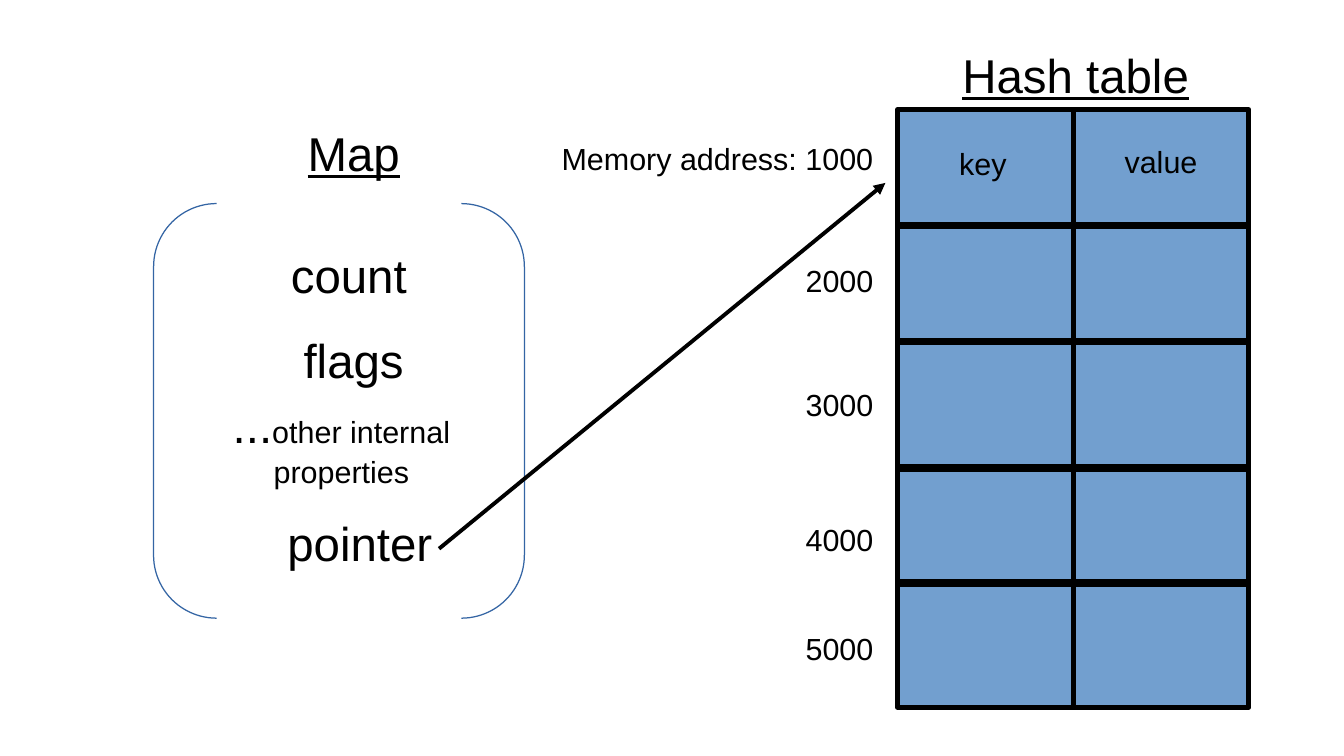
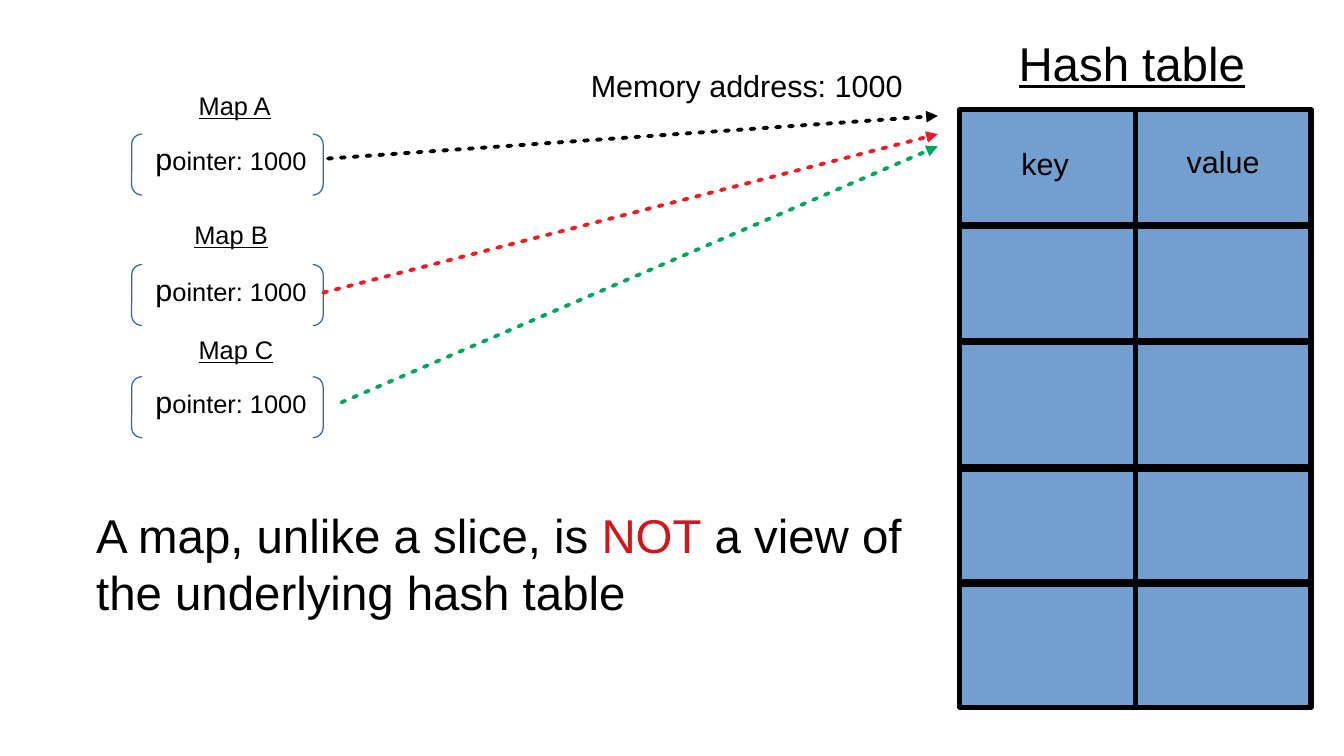
from lxml import etree
from pptx import Presentation
from pptx.dml.color import RGBColor
from pptx.enum.shapes import MSO_CONNECTOR, MSO_SHAPE
from pptx.enum.text import PP_ALIGN
from pptx.oxml.ns import qn
from pptx.util import Inches, Pt

LEFT, CENTER, RIGHT = PP_ALIGN.LEFT, PP_ALIGN.CENTER, PP_ALIGN.RIGHT
STRAIGHT = MSO_CONNECTOR.STRAIGHT
BRACKETS, RECTANGLE = MSO_SHAPE.DOUBLE_BRACKET, MSO_SHAPE.RECTANGLE

FONT = "Arial"
LARGE, MEDIUM, SMALL = 28, 18, 15
COLORS = {
    "black": "000000",
    "cell": "729FCF",
    "bracket": "3465A4",
    "red": "ED1C24",
    "green": "00A65D",
    "emphasis": "CE181E",
}
TABLE_TOP, TABLE_HEIGHT = 0.9, 4.9
COLUMN_WIDTH = 1.44
ROW_BOUNDARIES = [1.85, 2.8, 3.84, 4.78]
OUTLINE_WIDTH, ROW_LINE_WIDTH, ARROW_WIDTH = 3, 4.5, 2.3


def add_text(slide, box, runs, align=CENTER, underline=False):
    """Add a wrapped text box; each run is (text, size) or (text, size, color name)."""
    shape = slide.shapes.add_textbox(*map(Inches, box))
    shape.text_frame.word_wrap = True
    paragraph = shape.text_frame.paragraphs[0]
    paragraph.alignment = align
    for text, size, *color in runs:
        run = paragraph.add_run()
        run.text = text
        run.font.name = FONT
        run.font.size = Pt(size)
        run.font.underline = underline
        run.font.color.rgb = RGBColor.from_string(COLORS[color[0] if color else "black"])


def add_line(slide, start, end, width, color="black", dotted=False, arrow=False):
    connector = slide.shapes.add_connector(STRAIGHT, *map(Inches, start + end))
    connector.line.color.rgb = RGBColor.from_string(COLORS[color])
    connector.line.width = Pt(width)
    properties = connector.element.spPr
    line = properties.find(qn("a:ln"))
    if dotted:
        line.set("cap", "rnd")
        dashes = etree.SubElement(line, qn("a:custDash"))
        etree.SubElement(dashes, qn("a:ds"), d="200000", sp="130000")
    if arrow:
        etree.SubElement(line, qn("a:tailEnd"), type="triangle")
    etree.SubElement(properties, qn("a:effectLst"))


presentation = Presentation()
presentation.slide_width = Inches(11.02)
presentation.slide_height = Inches(6.2)
blank = presentation.slide_layouts[6]
structure_slide = presentation.slides.add_slide(blank)
sharing_slide = presentation.slides.add_slide(blank)

# Hash table with its heading, on both slides
for slide, table_left, heading_box in [
    (structure_slide, 7.36, (7.77, 0.33, 2.1, 0.53)),
    (sharing_slide, 7.87, (7.7, 0.23, 3.16, 0.56)),
]:
    add_text(slide, heading_box, [("Hash table", LARGE)], underline=True)
    for column, (label, label_offset, label_top, label_width) in enumerate([
        ("key", 0.4, 1.14, 0.6),
        ("value", 0.32, 1.12, 0.8),
    ]):
        left = table_left + column * COLUMN_WIDTH
        right = left + COLUMN_WIDTH
        rectangle = slide.shapes.add_shape(
            RECTANGLE, *map(Inches, (left, TABLE_TOP, COLUMN_WIDTH, TABLE_HEIGHT)))
        rectangle.shadow.inherit = False
        rectangle.fill.solid()
        rectangle.fill.fore_color.rgb = RGBColor.from_string(COLORS["cell"])
        rectangle.line.color.rgb = RGBColor.from_string(COLORS["black"])
        rectangle.line.width = Pt(OUTLINE_WIDTH)
        for boundary in ROW_BOUNDARIES:
            add_line(slide, (right, boundary), (left, boundary), ROW_LINE_WIDTH)
        add_text(slide, (left + label_offset, label_top, label_width, 0.4), [(label, MEDIUM)])

# Brackets around the contents of each map
for slide, box in [
    (structure_slide, (1.26, 1.67, 3.04, 3.4)),
    (sharing_slide, (1.08, 1.1, 1.57, 0.5)),
    (sharing_slide, (1.08, 2.17, 1.57, 0.5)),
    (sharing_slide, (1.08, 3.09, 1.57, 0.5)),
]:
    bracket = slide.shapes.add_shape(BRACKETS, *map(Inches, box))
    bracket.adjustments[0] = 0.17
    bracket.shadow.inherit = False
    bracket.fill.background()
    bracket.line.color.rgb = RGBColor.from_string(COLORS["bracket"])
    bracket.line.width = Pt(0.75)

# Slide 1: structure of a map
add_text(structure_slide, (2.1, 0.97, 1.6, 0.53), [("Map", LARGE)], underline=True)
for field, box in [
    ("count", (2.06, 1.97, 1.6, 0.53)),
    ("flags", (2, 2.67, 1.8, 0.53)),
    ("pointer", (2.2, 4.17, 1.5, 0.58)),
]:
    add_text(structure_slide, box, [(field, LARGE)])
add_text(structure_slide, (1.4, 3.2, 2.8, 0.97),
         [("...", LARGE), ("other internal properties", MEDIUM)])
add_text(structure_slide, (4.26, 1.1, 3, 0.38), [("Memory address: 1000", MEDIUM)], RIGHT)
for address, top in [("2000", 2.1), ("3000", 3.12), ("4000", 4.22), ("5000", 5.12)]:
    add_text(structure_slide, (5.86, top, 1.4, 0.38), [(address, MEDIUM)], RIGHT)
add_line(structure_slide, (3.6, 4.5), (7.26, 1.5), ARROW_WIDTH, arrow=True)

# Slide 2: three maps sharing one hash table
add_text(sharing_slide, (4.5, 0.5, 3, 0.38), [("Memory address: 1000", MEDIUM)], RIGHT)
for name, name_left, name_top, pointer_top, start, end, color in [
    ("Map A", 1.21, 0.69, 1.1, (2.69, 1.3), (7.69, 0.95), "black"),
    ("Map B", 1.18, 1.75, 2.17, (2.65, 2.4), (7.69, 1.1), "red"),
    ("Map C", 1.22, 2.69, 3.09, (2.8, 3.3), (7.69, 1.2), "green"),
]:
    add_text(sharing_slide, (name_left, name_top, 1.43, 0.33), [(name, SMALL)], underline=True)
    add_text(sharing_slide, (1.11, pointer_top, 1.57, 0.46),
             [("p", MEDIUM), ("ointer: 1000", SMALL)])
    add_line(sharing_slide, start, end, ARROW_WIDTH, color, dotted=True, arrow=True)
add_text(sharing_slide, (0.69, 4.1, 6.86, 0.96), [
    ("A map, unlike a slice, is ", LARGE),
    ("NOT", LARGE, "emphasis"),
    (" a view of the underlying hash table", LARGE),
], LEFT)

presentation.save("out.pptx")
